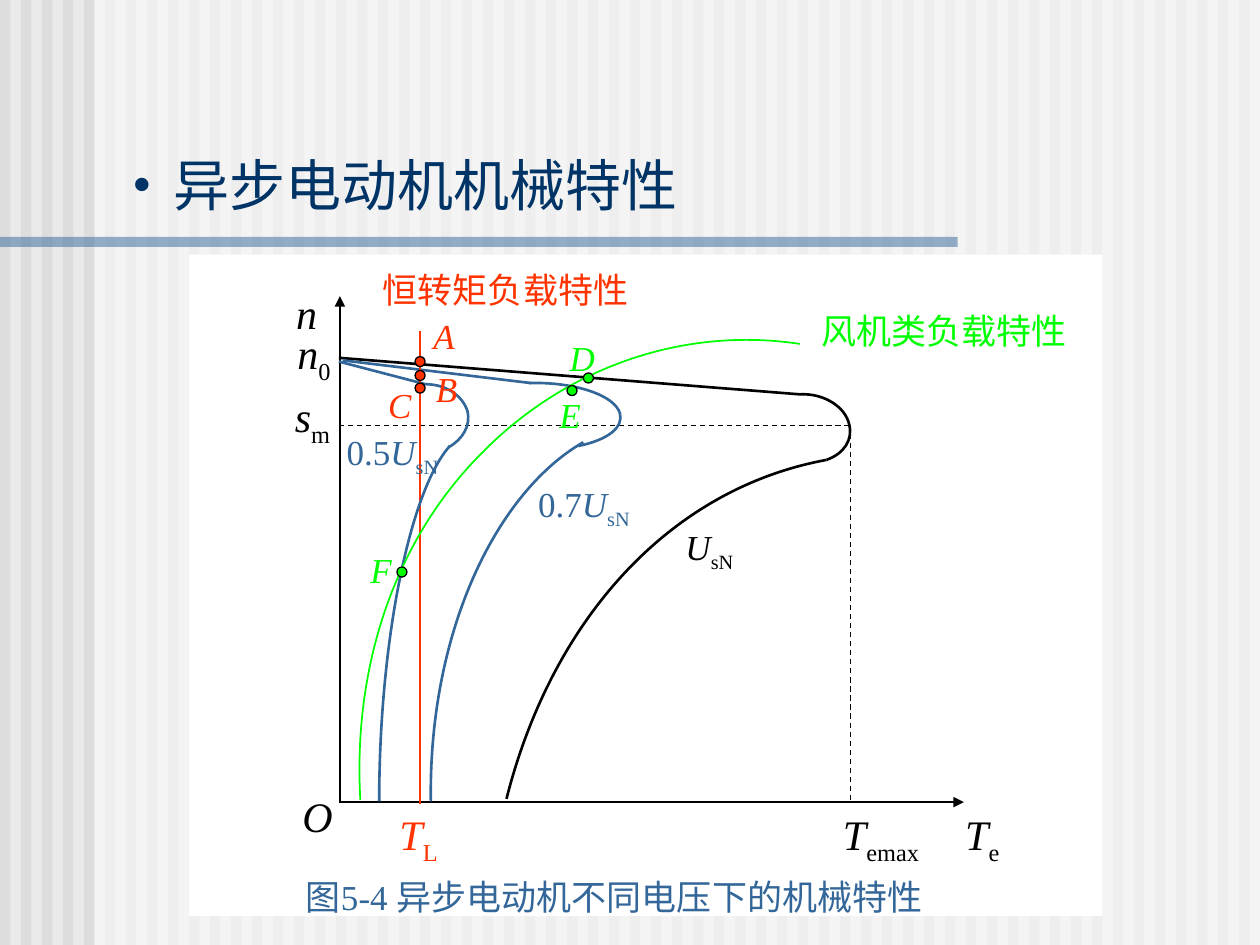
from dataclasses import dataclass
from typing import NamedTuple

from lxml.etree import SubElement
from pptx import Presentation
from pptx.dml.color import RGBColor
from pptx.enum.dml import MSO_LINE
from pptx.enum.shapes import MSO_CONNECTOR, MSO_SHAPE
from pptx.enum.text import MSO_ANCHOR
from pptx.oxml.ns import qn
from pptx.util import Inches, Pt

COLS, ROWS = 1000, 750  # grid of the slide
Point = tuple[float, float]
Area = tuple[float, float, float, float]


@dataclass(frozen=True)
class Theme:
    back: str = "EAEAEA"
    stripe: str = "DDDDDD"
    white: str = "FFFFFF"
    black: str = "000000"
    navy: str = "003366"
    blue: str = "336699"
    red: str = "FF3300"
    green: str = "00FF00"
    serif: str = "Times New Roman"
    sans: str = "DejaVu Sans"
    title: int = 32
    axis: int = 24
    label: int = 20
    thick: float = 1.5
    thin: float = 1
    fine: float = 0.75


class Run(NamedTuple):
    text: str
    font: str = Theme.serif
    slant: bool = False
    sub: bool = False


class Label(NamedTuple):
    area: Area
    runs: list[Run]
    color: str
    size: int


class Line(NamedTuple):
    start: Point
    end: Point
    color: str
    width: float
    dash: bool = False
    arrow: bool = False


class Curve(NamedTuple):
    color: str
    width: float
    points: list[Point]  # start, then three points for each Bezier part


look = Theme()
deck = Presentation()
deck.slide_width, deck.slide_height = Inches(10), Inches(7.5)
slide = deck.slides.add_slide(deck.slide_layouts[6])
shapes = slide.shapes


def col(n: float) -> int:
    return round(deck.slide_width * n / COLS)


def row(n: float) -> int:
    return round(deck.slide_height * n / ROWS)


def place(area: Area) -> tuple[int, int, int, int]:
    x, y, w, h = area
    return col(x), row(y), col(w), row(h)


def rgb(code: str) -> RGBColor:
    return RGBColor.from_string(code)


def solid(area: Area, color: str, *, kind=MSO_SHAPE.RECTANGLE,
          alpha: int = 100, edge: str = "") -> None:
    shape = shapes.add_shape(kind, *place(area))
    shape.shadow.inherit = False
    shape.fill.solid()
    shape.fill.fore_color.rgb = rgb(color)
    if alpha < 100:
        tint = shape._element.spPr.find(".//" + qn("a:srgbClr"))
        SubElement(tint, qn("a:alpha")).set("val", str(alpha * 1000))
    if edge:
        shape.line.color.rgb = rgb(edge)
        shape.line.width = Pt(look.fine)
    else:
        shape.line.fill.background()


def dot(x: float, y: float, color: str) -> None:
    solid((x - 4, y - 4, 8, 8), color, kind=MSO_SHAPE.OVAL, edge=look.black)


def draw(item: Line) -> None:
    (x, y), (u, v) = item.start, item.end
    line = shapes.add_connector(MSO_CONNECTOR.STRAIGHT, col(x), row(y), col(u), row(v))
    line.line.color.rgb = rgb(item.color)
    line.line.width = Pt(item.width)
    if item.dash:
        line.line.dash_style = MSO_LINE.DASH
    if item.arrow:
        SubElement(line.line._get_or_add_ln(), qn("a:tailEnd")).set("type", "triangle")
    SubElement(line._element.spPr, qn("a:effectLst"))


def bend(item: Curve) -> None:
    first, *rest = [(col(x), row(y)) for x, y in item.points]
    pen = shapes.build_freeform(*first)
    pen.add_line_segments(rest, close=False)
    shape = pen.convert_to_shape()
    shape.shadow.inherit = False
    shape.fill.background()
    shape.line.color.rgb = rgb(item.color)
    shape.line.width = Pt(item.width)
    # Turn each three straight steps into one Bezier part
    track = shape._element.spPr.find(".//" + qn("a:path"))
    steps = track.findall(qn("a:lnTo"))
    for k in range(0, len(steps), 3):
        part = SubElement(track, qn("a:cubicBezTo"))
        for step in steps[k:k + 3]:
            part.append(step[0])
            track.remove(step)


def write(area: Area, runs: list[Run], *, color: str, size: int,
          pad: bool = False, bullet: bool = False, anchor=MSO_ANCHOR.TOP) -> None:
    frame = shapes.add_textbox(*place(area)).text_frame
    frame.word_wrap = True
    frame.vertical_anchor = anchor
    frame.margin_left = frame.margin_right = col(10 if pad else 0)
    frame.margin_top = frame.margin_bottom = row(5 if pad else 0)
    para = frame.paragraphs[0]
    if bullet:
        props = para._p.get_or_add_pPr()
        props.set("marL", str(col(33)))
        props.set("indent", str(-col(33)))
        SubElement(props, qn("a:buFont")).set("typeface", look.serif)
        SubElement(props, qn("a:buChar")).set("char", "•")
    for item in runs:
        run = para.add_run()
        run.text = item.text
        font = run.font
        font.name, font.size, font.italic = item.font, Pt(size), item.slant
        font.color.rgb = rgb(color)
        if item.sub:
            font._element.set("baseline", "-25000")


def term(name: str, sub: str = "", lead: str = "") -> list[Run]:
    """A slanted symbol with an optional factor and subscript."""
    runs = [Run(lead), Run(name, slant=True), Run(sub, sub=True)]
    return [run for run in runs if run.text]


# Striped background, veil and title rule
slide.background.fill.solid()
slide.background.fill.fore_color.rgb = rgb(look.back)
pitch = COLS / 60
for k in range(60):
    solid((k * pitch, 0, pitch / 2, ROWS), look.stripe)
solid((75, 0, COLS - 75, ROWS), look.white, alpha=50)
solid((0, 188, 760, 8), look.blue, alpha=50)

# Title and chart panel
write((95, 114, 893, 64), [Run("异步电动机机械特性")], color=look.navy,
      size=look.title, pad=True, bullet=True, anchor=MSO_ANCHOR.BOTTOM)
solid((150, 202, 725, 525), look.white)

# Axes, straight parts of the motor curves, guides and constant load
for item in (
    Line((270, 636.6), (765, 636.6), look.black, look.thin, arrow=True),
    Line((269.8, 637), (269.8, 235), look.black, look.thin, arrow=True),
    Line((635, 313), (269, 284), look.black, look.thick),
    Line((338, 305), (269, 287), look.blue, look.thick),
    Line((421, 304), (272, 286), look.blue, look.thick),
    Line((675, 337), (675, 637), look.black, look.fine, dash=True),
    Line((269, 337.6), (677, 337.6), look.black, look.fine, dash=True),
    Line((333.4, 263), (333.4, 638), look.red, look.thin),
):
    draw(item)

# Curved parts at full, 0.5 and 0.7 voltage, then the fan load
for item in (
    Curve(look.black, look.thick,
          [(656, 365), (531, 388), (438, 492), (402, 634)]),
    Curve(look.black, look.thick,
          [(635, 313), (654, 312), (671, 323), (674, 337), (677, 349), (670, 360), (656, 365)]),
    Curve(look.blue, look.thick,
          [(357, 354), (325, 390), (301, 510), (301, 636)]),
    Curve(look.blue, look.thick,
          [(338, 305), (354, 305), (367, 314), (371, 326), (374, 338), (367, 349), (356, 355)]),
    Curve(look.blue, look.thick,
          [(463, 351), (395, 390), (340, 500), (342, 636)]),
    Curve(look.blue, look.thick,
          [(420, 304), (457, 303), (488, 314), (492, 328), (495, 339), (483, 349), (459, 354)]),
    Curve(look.green, look.thin,
          [(635, 273), (543, 259), (449, 291), (381, 361), (312, 431), (280, 531), (286, 635)]),
):
    bend(item)

# Working points
for y in (287, 298, 308):
    dot(333.4, y, look.red)
for x, y in ((467, 300), (454, 310), (319, 454)):
    dot(x, y, look.green)

# Symbols
for item in (
    Label((766, 642, 49, 46), term("T", "e"), look.black, look.axis),
    Label((240, 627, 28, 39), term("O"), look.black, look.axis),
    Label((235, 228, 24, 40), term("n"), look.black, look.axis),
    Label((236, 260, 34, 46), term("n", "0"), look.black, look.axis),
    Label((234, 310, 36, 46), term("s", "m"), look.black, look.axis),
    Label((669, 642, 75, 46), term("T", "emax"), look.black, look.axis),
    Label((317, 642, 75, 46), term("T", "L"), look.red, look.axis),
    Label((544, 417, 75, 38), term("U", "sN"), look.black, look.label),
    Label((427, 383, 108, 38), term("U", "sN", "0.7"), look.blue, look.label),
    Label((275, 342, 108, 38), term("U", "sN", "0.5"), look.blue, look.label),
    Label((344, 250, 42, 33), term("A"), look.red, look.label),
    Label((346, 292, 42, 33), term("B"), look.red, look.label),
    Label((308, 304, 42, 33), term("C"), look.red, look.label),
    Label((452, 267, 42, 33), term("D"), look.green, look.label),
    Label((444, 312, 42, 33), term("E"), look.green, look.label),
    Label((294, 435, 42, 33), term("F"), look.green, look.label),
):
    write(item.area, item.runs, color=item.color, size=item.size)

# Load names and caption
caption = [Run("图5-4 "), Run("异步电动机", look.sans), Run("不同电压下的机械特性")]
for item in (
    Label((642, 241, 225, 44), [Run("风机类负载特性", look.sans)], look.green, look.label),
    Label((294, 208, 225, 44), [Run("恒转矩负载特性", look.sans)], look.red, look.label),
    Label((233, 690, 540, 44), caption, look.blue, look.label),
):
    write(item.area, item.runs, color=item.color, size=item.size, pad=True)

deck.save("out.pptx")
